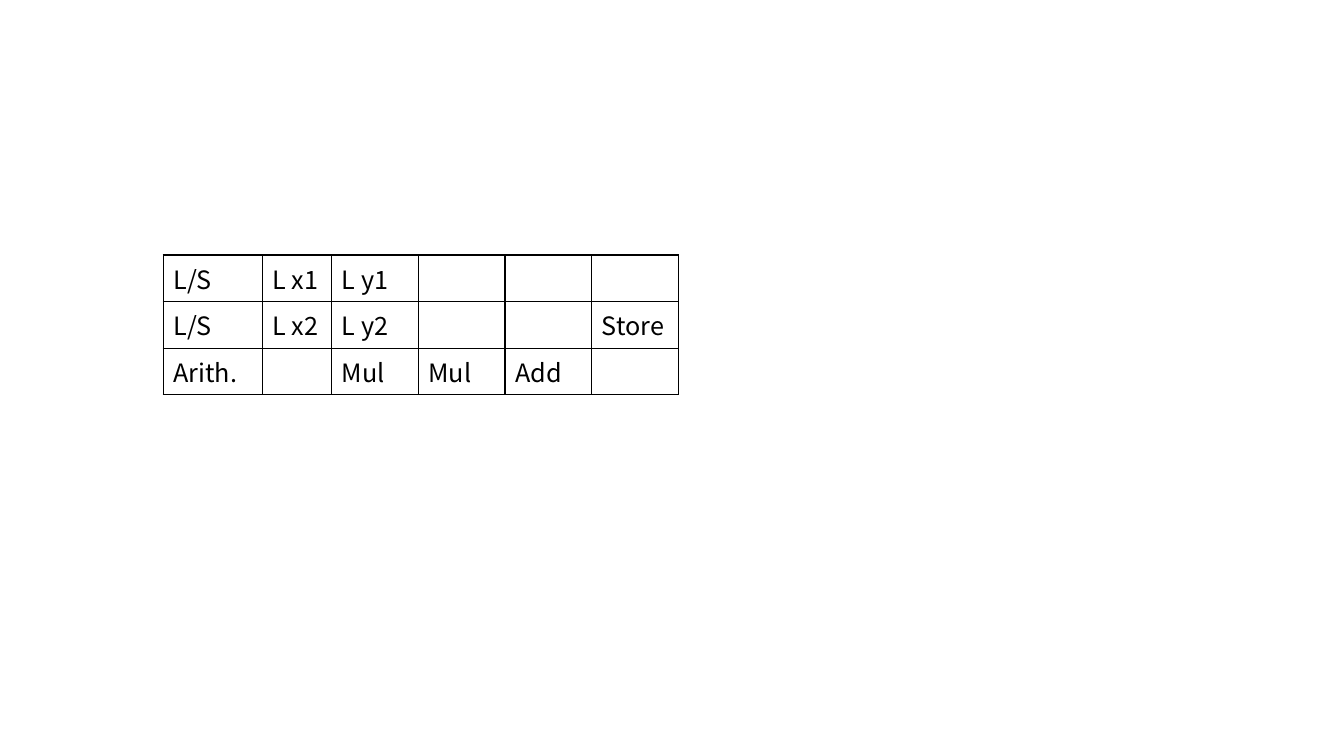
"""Build a slide with the issue schedule of two load/store units and an arithmetic unit."""
from dataclasses import dataclass

from lxml.etree import SubElement
from pptx import Presentation
from pptx.dml.color import RGBColor
from pptx.oxml.ns import qn
from pptx.slide import Slide
from pptx.table import _Cell
from pptx.util import Inches, Pt

COLORS = {"ink": "000000"}
FONT = "Noto Sans CJK SC"
COLUMN_WIDTHS = (0.98, 0.69) + (0.86,) * 4
ROW_HEIGHT = 0.41


@dataclass(frozen=True)
class Unit:
    name: str
    cycles: tuple[str, ...]


UNITS = (
    Unit("L/S", ("L x1", "L y1", "", "", "")),
    Unit("L/S", ("L x2", "L y2", "", "", "Store")),
    Unit("Arith.", ("", "Mul", "Mul", "Add", "")),
)


def add_borders(cell: _Cell) -> None:
    properties = cell._tc.get_or_add_tcPr()
    for side in ("a:lnL", "a:lnR", "a:lnT", "a:lnB"):
        border = SubElement(properties, qn(side), w=str(Pt(1)))
        ink = SubElement(border, qn("a:solidFill"))
        SubElement(ink, qn("a:srgbClr"), val=COLORS["ink"])


def write_cell(cell: _Cell, operation: str) -> None:
    add_borders(cell)
    cell.fill.background()
    if operation:
        run = cell.text_frame.paragraphs[0].add_run()
        run.text = operation
        run.font.name = FONT
        run.font.size = Pt(18)
        run.font.color.rgb = RGBColor.from_string(COLORS["ink"])


def add_schedule(slide: Slide, left: float, top: float) -> None:
    schedule = slide.shapes.add_table(
        len(UNITS), len(COLUMN_WIDTHS), Inches(left), Inches(top),
        Inches(sum(COLUMN_WIDTHS)), Inches(ROW_HEIGHT * len(UNITS)),
    ).table
    schedule.first_row = False
    schedule.horz_banding = False
    for column, width in zip(schedule.columns, COLUMN_WIDTHS):
        column.width = Inches(width)
    for row, unit in zip(schedule.rows, UNITS):
        row.height = Inches(ROW_HEIGHT)
        for cell, operation in zip(row.cells, (unit.name, *unit.cycles)):
            write_cell(cell, operation)


def main() -> None:
    presentation = Presentation()
    presentation.slide_width = Inches(13.33)
    presentation.slide_height = Inches(7.5)
    slide = presentation.slides.add_slide(presentation.slide_layouts[6])
    add_schedule(slide, 1.62, 2.53)
    presentation.save("out.pptx")


if __name__ == "__main__":
    main()
